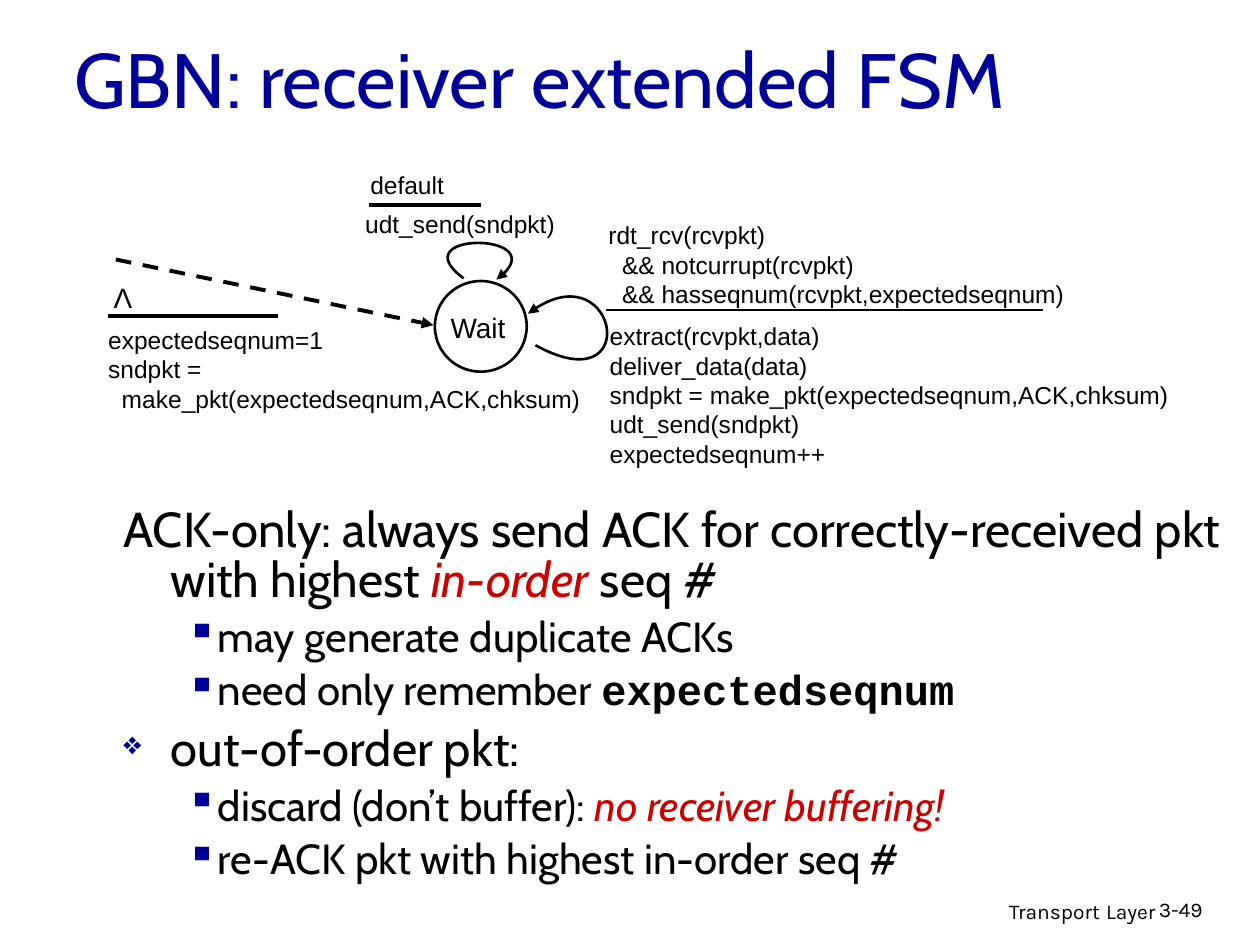
from lxml.etree import SubElement
from pptx import Presentation
from pptx.dml.color import RGBColor
from pptx.enum.dml import MSO_LINE
from pptx.enum.shapes import MSO_CONNECTOR, MSO_SHAPE
from pptx.enum.text import MSO_ANCHOR, PP_ALIGN
from pptx.oxml.ns import qn
from pptx.util import Pt

BLACK, WHITE, BLUE, RED = "000000", "FFFFFF", "000099", "CC0000"


def color(hex_string):
    return RGBColor.from_string(hex_string)


def add_arrowhead(shape):
    SubElement(shape.line._get_or_add_ln(), qn("a:tailEnd"), type="triangle")


class Sketch:
    """Draws the elements of one slide; all lengths are points."""

    heading_font, label_font = "Cabin", "Arial"
    code_font, footer_font = "Courier New", "Karla"

    def __init__(self, slide):
        self.slide = slide

    def box(self, left, top, width, height, anchor=MSO_ANCHOR.TOP):
        frame = self.slide.shapes.add_textbox(
            Pt(left), Pt(top), Pt(width), Pt(height)).text_frame
        frame.word_wrap = True
        frame.vertical_anchor = anchor
        return frame

    def span(self, para, text, size, font, ink=BLACK, bold=False, italic=False):
        span = para.add_run()
        span.text = text
        span.font.size = Pt(size)
        span.font.name = font
        span.font.bold = bold
        span.font.italic = italic
        span.font.color.rgb = color(ink)

    def label(self, place, *lines, size=14, align=PP_ALIGN.LEFT):
        frame = self.box(*place)
        for index, line in enumerate(lines):
            para = frame.add_paragraph() if index else frame.paragraphs[0]
            para.alignment = align
            self.span(para, line, size, self.label_font)

    def title(self, place, text):
        frame = self.box(*place, anchor=MSO_ANCHOR.MIDDLE)
        self.span(frame.paragraphs[0], text, 44, self.heading_font, BLUE)

    def footer(self, place, parts, align=PP_ALIGN.LEFT):
        para = self.box(*place).paragraphs[0]
        para.alignment = align
        for text, size in parts:
            self.span(para, text, size, self.footer_font)

    def bullet(self, para, level, mark):
        """Set hanging indent and bullet; level 1 sits further in."""
        props = para._p.get_or_add_pPr()
        margin, hang = ((27, 27), (54, 18))[level]
        props.set("marL", str(Pt(margin)))
        props.set("indent", str(-Pt(hang)))
        if not mark:
            SubElement(props, qn("a:buNone"))
            return
        ink = SubElement(props, qn("a:buClr"))
        SubElement(ink, qn("a:srgbClr"), val=BLUE)
        if level == 0:
            SubElement(props, qn("a:buSzPct"), val="65000")
        SubElement(props, qn("a:buChar"), char=mark)

    def outline(self, place, items):
        """Write bulleted items: (level, mark, [(text, style), ...])."""
        frame = self.box(*place)
        for index, (level, mark, parts) in enumerate(items):
            para = frame.add_paragraph() if index else frame.paragraphs[0]
            para.line_spacing = 0.85
            para.space_before = Pt((7, 6)[level] if index else 0)
            self.bullet(para, level, mark)
            for text, style in parts:
                self.span(para, text, (28, 24)[level],
                          **{"font": self.heading_font, **style})

    def line(self, start, end, width=2.25, dashed_arrow=False):
        line = self.slide.shapes.add_connector(
            MSO_CONNECTOR.STRAIGHT, *map(Pt, start + end))
        line.line.color.rgb = color(BLACK)
        line.line.width = Pt(width)
        if dashed_arrow:
            line.line.dash_style = MSO_LINE.DASH
            add_arrowhead(line)
        SubElement(line._element.spPr, qn("a:effectLst"))

    def state(self, place):
        circle = self.slide.shapes.add_shape(MSO_SHAPE.OVAL, *map(Pt, place))
        circle.shadow.inherit = False
        circle.fill.solid()
        circle.fill.fore_color.rgb = color(WHITE)
        circle.line.color.rgb = color(BLACK)
        circle.line.width = Pt(1.5)

    def loop(self, start, *controls_and_end):
        """Draw one cubic curve ending in an arrowhead."""
        builder = self.slide.shapes.build_freeform(*map(Pt, start))
        builder.add_line_segments(
            [(Pt(x), Pt(y)) for x, y in controls_and_end], close=False)
        shape = builder.convert_to_shape()
        outline = shape._element.find(".//" + qn("a:path"))
        curve = SubElement(outline, qn("a:cubicBezTo"))
        for segment in outline.findall(qn("a:lnTo")):
            curve.append(segment[0])
            outline.remove(segment)
        shape.shadow.inherit = False
        shape.fill.background()
        shape.line.color.rgb = color(BLACK)
        shape.line.width = Pt(1.5)
        add_arrowhead(shape)


def main():
    deck = Presentation()
    deck.slide_width, deck.slide_height = Pt(720), Pt(540)
    sketch = Sketch(deck.slides.add_slide(deck.slide_layouts[6]))

    sketch.title((35.3, 16.6, 612, 55.4), "GBN: receiver extended FSM")
    sketch.footer((439.2, 507.6, 228.2, 22.3),
                  [("Transport", 12), (" ", 14), ("Layer", 12)], PP_ALIGN.RIGHT)
    sketch.footer((655.2, 509, 53.3, 21.6), [("3-49", 12)])

    emphasis = {"ink": RED, "italic": True}
    code = {"font": sketch.code_font, "bold": True}
    sketch.outline((63.4, 286.6, 641.5, 224.6), [
        (0, None, [
            ("ACK-only: always send ACK for correctly-received pkt with highest ", {}),
            ("in-order", emphasis), (" seq #", {})]),
        (1, "▪", [("may generate duplicate ACKs", {})]),
        (1, "▪", [("need only remember ", {}), ("expectedseqnum", code)]),
        (0, "❖", [("out-of-order pkt:", {})]),
        (1, "▪", [("discard (don’t buffer): ", {}),
                  ("no receiver buffering!", emphasis)]),
        (1, "▪", [("re-ACK pkt with highest in-order seq #", {})]),
    ])

    # State and its incoming transition
    sketch.state((248.5, 160.6, 52.5, 51.8))
    sketch.label((241.9, 174.2, 62.6, 18.7), "Wait", size=16, align=PP_ALIGN.CENTER)
    sketch.line((66.2, 148.3), (247.7, 185.8), dashed_arrow=True)
    sketch.label((57.6, 157, 25.2, 26.6), "Λ", size=16, align=PP_ALIGN.CENTER)
    sketch.line((61.9, 180.7), (159.1, 180.7))
    sketch.label((54.7, 182.2, 286.6, 77), "expectedseqnum=1", "sndpkt =",
                 "  make_pkt(expectedseqnum,ACK,chksum)")

    # Default transition
    sketch.label((204.5, 93.6, 70, 19.4), "default")
    sketch.line((211, 117.4), (275, 117.4))
    sketch.label((201.6, 115.9, 127.4, 24.5), "udt_send(sndpkt)")
    sketch.loop((265, 159.1), (229, 132.5), (320.4, 132.5), (283.7, 159.8))

    # In-order packet transition
    sketch.loop((306, 197.3), (367.2, 231.1), (352.8, 140.4), (301.7, 179.3))
    sketch.label((340.6, 122.4, 280.8, 44.6), "rdt_rcv(rcvpkt)",
                 "  && notcurrupt(rcvpkt)",
                 "  && hasseqnum(rcvpkt,expectedseqnum)")
    sketch.line((346.3, 177.1), (596.2, 177.1), width=1.5)
    sketch.label((341.3, 180, 339.8, 67.7), "extract(rcvpkt,data)",
                 "deliver_data(data)",
                 "sndpkt = make_pkt(expectedseqnum,ACK,chksum)",
                 "udt_send(sndpkt)", "expectedseqnum++")

    deck.save("out.pptx")


if __name__ == "__main__":
    main()
